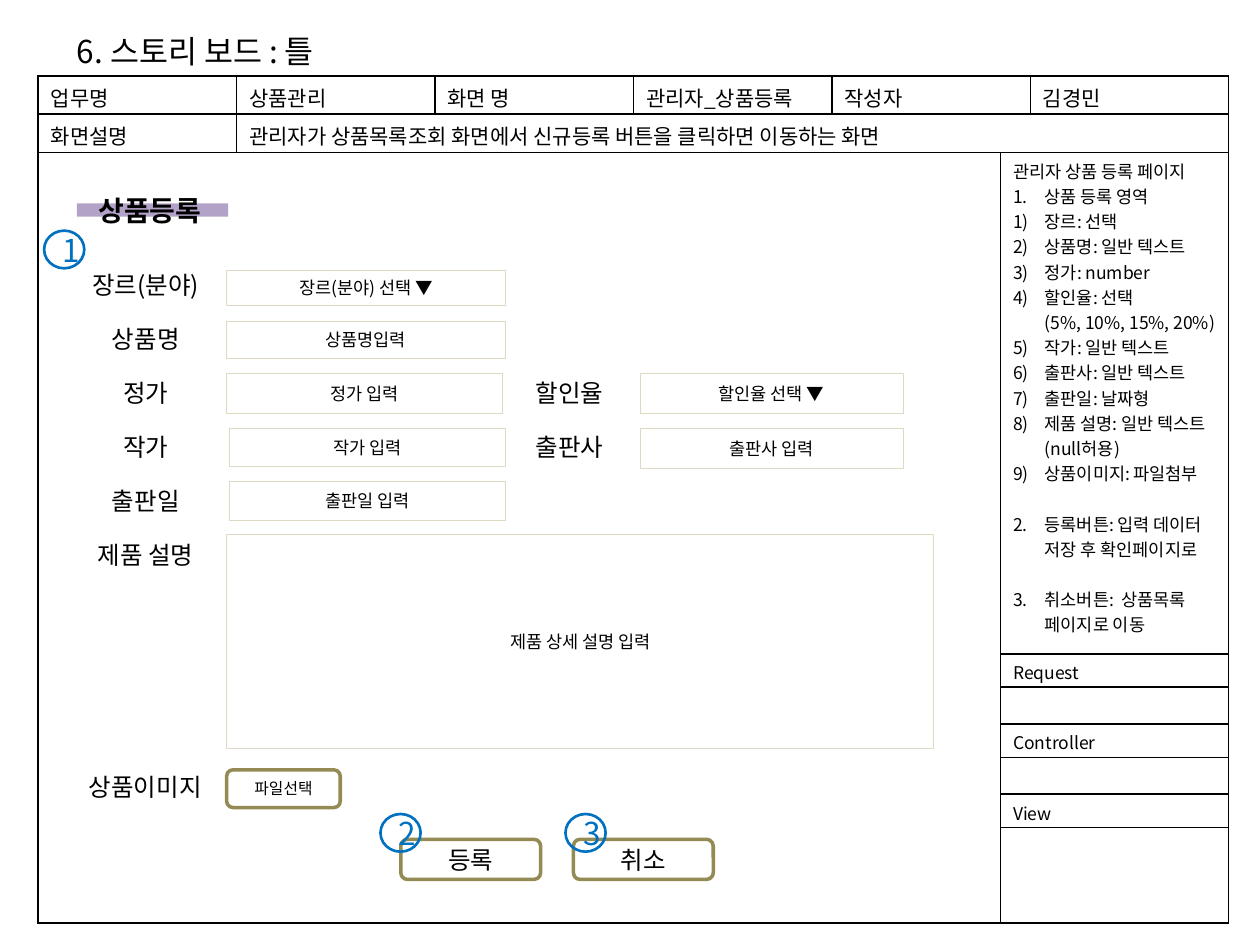
"""Build the storyboard slide for the product registration screen."""
from dataclasses import dataclass

from lxml import etree
from pptx import Presentation
from pptx import util as u
from pptx.dml.color import RGBColor
from pptx.enum import shapes, text
from pptx.oxml import ns


@dataclass(frozen=True)
class Theme:
    font: str = "Noto Sans CJK KR"
    latin: str = "Arial"
    ink: str = "000000"
    marker: str = "0070C0"
    field: str = "DDD9C3"
    button: str = "948A54"
    accent: str = "B3A2C7"
    title: int = 18
    heading: int = 16
    label: int = 14
    header: int = 12
    body: int = 10
    small: int = 9


T = Theme()


def write(p, words, size, color=T.ink, bold=False, font=T.font):
    r = p.add_run()
    r.text = words
    r.font.size, r.font.bold, r.font.name = u.Pt(size), bold, font
    r.font.color.rgb = RGBColor.from_string(color)
    etree.SubElement(r.font._element, ns.qn("a:ea"), typeface=T.font)


def outline(kind, x, y, w, h, words, size, line, weight, color=T.ink):
    sp = s.shapes.add_shape(kind, u.Cm(x), u.Cm(y), u.Cm(w), u.Cm(h))
    sp.shadow.inherit = False
    sp.fill.background()
    sp.line.color.rgb = RGBColor.from_string(line)
    sp.line.width = u.Pt(weight)
    tf = sp.text_frame
    tf.word_wrap = True
    tf.vertical_anchor = text.MSO_ANCHOR.MIDDLE
    tf.paragraphs[0].alignment = text.PP_ALIGN.CENTER
    write(tf.paragraphs[0], words, size, color)


prs = Presentation()
prs.slide_width, prs.slide_height = u.Cm(25.4), u.Cm(19.05)
s = prs.slides.add_slide(prs.slide_layouts[6])
shape = shapes.MSO_SHAPE

bar = s.shapes.add_shape(shape.RECTANGLE, u.Cm(1.55), u.Cm(4.1), u.Cm(3.05), u.Cm(0.27))
bar.shadow.inherit = False
bar.fill.solid()
bar.fill.fore_color.rgb = RGBColor.from_string(T.accent)
bar.line.fill.background()

title = s.shapes.add_textbox(u.Cm(1.3), u.Cm(0.53), u.Cm(5.9), u.Cm(1.03))
title.text_frame.word_wrap = False
write(title.text_frame.paragraphs[0], "6. 스토리 보드 : 틀", T.title)

widths = [4, 4, 4, 4, 3.4, 0.6, 4]
heights = [0.77, 0.77, 10.11, 0.67, 0.74, 0.68, 0.74, 0.67, 1.93]
table = s.shapes.add_table(len(heights), len(widths), u.Cm(0.77), u.Cm(1.53),
                           u.Cm(sum(widths)), u.Cm(sum(heights))).table
table.first_row = table.horz_banding = False
for column, width in zip(table.columns, widths):
    column.width = u.Cm(width)
for row, height in zip(table.rows, heights):
    row.height = u.Cm(height)

for cell in table.iter_cells():
    cell.margin_top, cell.margin_bottom = u.Cm(0.12), u.Cm(0.03)
    tcPr = cell._tc.get_or_add_tcPr()
    for side in ("lnL", "lnR", "lnT", "lnB"):
        ln = etree.SubElement(tcPr, ns.qn("a:" + side), w=str(u.Pt(1)))
        fill = etree.SubElement(ln, ns.qn("a:solidFill"))
        etree.SubElement(fill, ns.qn("a:srgbClr"), val=T.ink)
    cell.fill.background()
    p = cell.text_frame.paragraphs[0]
    etree.SubElement(p._p, ns.qn("a:endParaRPr"), sz=str(T.body * 100))

spans = [(0, 4, 0, 5), (1, 1, 1, 6), (2, 0, 8, 4)] + [(i, 5, i, 6) for i in range(2, 9)]
for top, left, bottom, right in spans:
    table.cell(top, left).merge(table.cell(bottom, right))

cells = [
    (0, 0, "업무명", T.header, T.font),
    (0, 1, "상품관리", T.header, T.font),
    (0, 2, "화면 명", T.header, T.font),
    (0, 3, "관리자_상품등록", T.header, T.font),
    (0, 4, "작성자", T.header, T.font),
    (0, 6, "김경민", T.header, T.font),
    (1, 0, "화면설명", T.header, T.font),
    (1, 1, "관리자가 상품목록조회 화면에서 신규등록 버튼을 클릭하면 이동하는 화면", T.header, T.latin),
    (3, 5, "Request", T.body, T.font),
    (5, 5, "Controller", T.body, T.font),
    (7, 5, "View", T.body, T.font),
]
for i, j, words, size, font in cells:
    write(table.cell(i, j).text_frame.paragraphs[0], words, size, font=font)

period, paren = "arabicPeriod", "arabicParenR"
notes = [
    ("관리자 상품 등록 페이지", None, 0, 0),
    ("상품 등록 영역", period, 1, 0),
    ("장르: 선택", paren, 1, 0),
    ("상품명: 일반 텍스트", paren, 1, 0),
    ("정가: number", paren, 1, 0),
    ("할인율: 선택", paren, 1, 0),
    ("(5%, 10%, 15%, 20%)", None, 1, 0),
    ("작가: 일반 텍스트", paren, 5, 0),
    ("출판사: 일반 텍스트", paren, 5, 0),
    ("출판일: 날짜형", paren, 5, 0),
    ("제품 설명: 일반 텍스트(null허용)", paren, 5, 0),
    ("상품이미지: 파일첨부", paren, 5, 0),
    ("등록버튼: 입력 데이터 저장 후 확인페이지로", period, 2, 14.4),
    ("취소버튼:  상품목록 페이지로 이동", period, 2, 14.4),
]
tf = table.cell(2, 5).text_frame
for i, (words, numbering, start, gap) in enumerate(notes):
    p = tf.add_paragraph() if i else tf.paragraphs[0]
    write(p, words, T.body)
    p.space_before = u.Pt(gap)
    pPr = p._p.get_or_add_pPr()
    if start:
        pPr.set("marL", str(u.Cm(0.64)))
    if numbering:
        pPr.set("indent", str(-u.Cm(0.64)))
        bullet = etree.SubElement(pPr, ns.qn("a:buAutoNum"), type=numbering)
        if start > 1:
            bullet.set("startAt", str(start))

first, pitch = 5.31, 1.09
names = ["장르(분야)", "상품명", "정가", "작가", "출판일", "제품 설명"]
labels = [(1.63, 3.78, 2.79, "상품등록", T.heading, True)]
labels += [(1.3, first + i * pitch, 3.28, name, T.label, False) for i, name in enumerate(names)]
labels += [(10.21, first + i * pitch, 2.54, name, T.label, False)
           for i, name in ((2, "할인율"), (3, "출판사"))]
labels += [(1.42, 15.44, 3.02, "상품이미지", T.label, False)]
for x, y, w, words, size, bold in labels:
    tf = s.shapes.add_textbox(u.Cm(x), u.Cm(y), u.Cm(w), u.Cm(0.86)).text_frame
    tf.word_wrap = True
    tf.paragraphs[0].alignment = text.PP_ALIGN.CENTER
    write(tf.paragraphs[0], words, size, bold=bold)

fields = [
    (4.57, 5.44, 5.61, 0.71, "장르(분야) 선택 ▼"),
    (4.57, 6.48, 5.61, 0.74, "상품명입력"),
    (4.57, 7.52, 5.56, 0.81, "정가 입력"),
    (12.9, 7.52, 5.31, 0.81, "할인율 선택 ▼"),
    (4.62, 8.64, 5.56, 0.76, "작가 입력"),
    (12.9, 8.64, 5.31, 0.81, "출판사 입력"),
    (4.62, 9.7, 5.56, 0.79, "출판일 입력"),
    (4.57, 10.77, 14.25, 4.32, "제품 상세 설명 입력"),
]
for field in fields:
    outline(shape.RECTANGLE, *field, T.body, T.field, 0.25)

buttons = [
    (4.57, 15.52, 2.29, 0.76, "파일선택", T.small),
    (8.08, 16.92, 2.82, 0.81, "등록", T.label),
    (11.56, 16.92, 2.82, 0.81, "취소", T.label),
]
for button in buttons:
    outline(shape.ROUNDED_RECTANGLE, *button, T.button, 2)

for number, (x, y) in enumerate([(0.89, 4.65), (7.67, 16.41), (11.4, 16.41)], 1):
    outline(shape.OVAL, x, y, 0.81, 0.76, str(number), T.title, T.marker, 1.5, T.marker)

prs.save("out.pptx")
